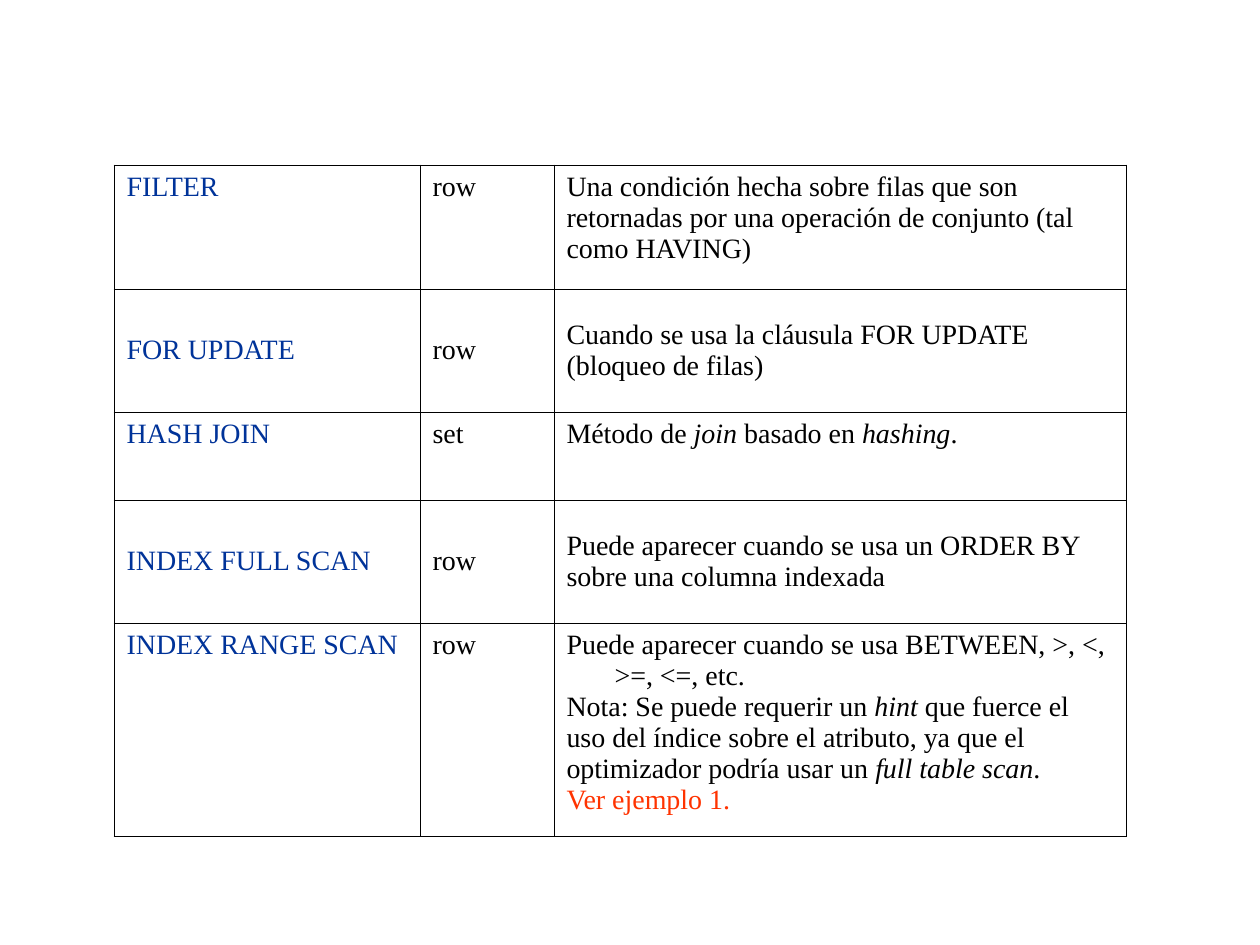
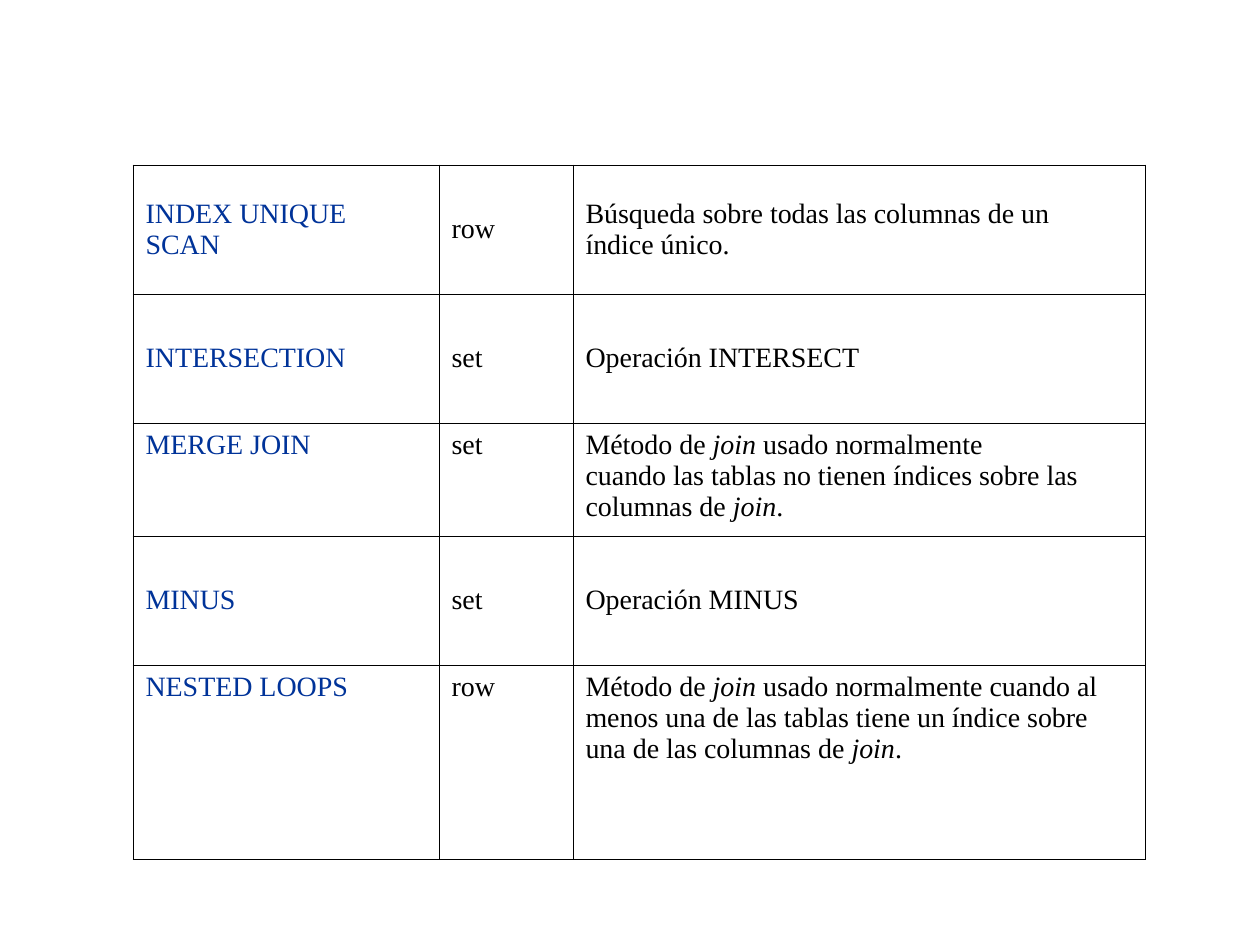
from dataclasses import dataclass

from lxml.etree import SubElement
from pptx import Presentation
from pptx.dml.color import RGBColor
from pptx.enum.text import MSO_ANCHOR
from pptx.oxml.ns import qn
from pptx.util import Emu, Pt


@dataclass(frozen=True)
class Theme:
    """Colours, type and cell measures shared by the slides."""
    name: str = "003399"
    body: str = "000000"
    note: str = "FF3300"
    border: str = "000000"
    font: str = "Times New Roman"
    size: int = 16
    border_width: float = 0.45
    indent: int = 48


THEME = Theme()
TOP, MIDDLE = MSO_ANCHOR.TOP, MSO_ANCHOR.MIDDLE
COLUMNS = (306, 134, 572)


def px(pixels):
    """Turn pixels (126 to the inch) into EMU."""
    return Emu(round(pixels * 914400 / 126))


def add_text(para, text, color=THEME.body, size=THEME.size, font=THEME.font):
    """Fill a paragraph; words between asterisks are italic."""
    for index, part in enumerate(text.split("*")):
        if part:
            span = para.add_run()
            span.text = part
            span.font.name = font
            span.font.size = Pt(size)
            span.font.italic = index % 2 == 1
            span.font.color.rgb = RGBColor.from_string(color)


def hang(para):
    """Give a paragraph its hanging indent."""
    properties = para._p.get_or_add_pPr()
    properties.set("marL", str(px(THEME.indent)))
    properties.set("indent", str(-px(THEME.indent)))


def add_borders(cell):
    """Draw a thin line on the four sides of a cell."""
    properties = cell._tc.get_or_add_tcPr()
    for side in ("lnL", "lnR", "lnT", "lnB"):
        line = SubElement(properties, qn(f"a:{side}"), w=str(Pt(THEME.border_width)))
        fill = SubElement(line, qn("a:solidFill"))
        SubElement(fill, qn("a:srgbClr"), val=THEME.border)


def fill_cell(cell, lines, anchor, color):
    """Write lines, each a text or a (text, colour) pair, into a cell."""
    add_borders(cell)
    cell.fill.background()
    cell.vertical_anchor = anchor
    cell.margin_left = cell.margin_right = Pt(7.2)
    cell.margin_top = cell.margin_bottom = Pt(3.6)
    frame = cell.text_frame
    for index, line in enumerate(lines):
        text, line_color = (line, color) if isinstance(line, str) else line
        para = frame.paragraphs[0] if index == 0 else frame.add_paragraph()
        hang(para)
        add_text(para, text, color=line_color)


def add_operations(page, left, top, operations):
    """Place a table of operations: name, row or set, description."""
    height = sum(operation[0] for operation in operations)
    table = page.shapes.add_table(
        len(operations), len(COLUMNS),
        px(left), px(top), px(sum(COLUMNS)), px(height)).table
    table.first_row = table.horz_banding = False
    for column, width in zip(table.columns, COLUMNS):
        column.width = px(width)
    for row, (row_height, anchor, name, kind, description) in zip(table.rows, operations):
        row.height = px(row_height)
        contents = ((name, THEME.name), ([kind], THEME.body), (description, THEME.body))
        for cell, (lines, color) in zip(row.cells, contents):
            fill_cell(cell, lines, anchor, color)


FILTER_TO_RANGE = [
    (124, TOP, ["FILTER"], "row",
     ["Una condición hecha sobre filas que son",
      "retornadas por una operación de conjunto (tal",
      "como HAVING)"]),
    (123, MIDDLE, ["FOR UPDATE"], "row",
     ["Cuando se usa la cláusula FOR UPDATE", "(bloqueo de filas)"]),
    (88, TOP, ["HASH JOIN"], "set", ["Método de *join* basado en *hashing*."]),
    (123, MIDDLE, ["INDEX FULL SCAN"], "row",
     ["Puede aparecer cuando se usa un ORDER BY", "sobre una columna indexada"]),
    (214, TOP, ["INDEX RANGE SCAN"], "row",
     ["Puede aparecer cuando se usa BETWEEN, >, <, >=, <=, etc.",
      "Nota: Se puede requerir un *hint* que fuerce el",
      "uso del índice sobre el atributo, ya que el",
      "optimizador podría usar un *full table scan*.",
      ("Ver ejemplo 1.", THEME.note)]),
]

UNIQUE_TO_LOOPS = [
    (129, MIDDLE, ["INDEX UNIQUE", "SCAN"], "row",
     ["Búsqueda sobre todas las columnas de un", "índice único."]),
    (129, MIDDLE, ["INTERSECTION"], "set", ["Operación INTERSECT"]),
    (113, TOP, ["MERGE JOIN"], "set",
     ["Método de *join* usado normalmente",
      "cuando las tablas no tienen índices sobre las",
      "columnas de *join*."]),
    (129, MIDDLE, ["MINUS"], "set", ["Operación MINUS"]),
    (195, TOP, ["NESTED LOOPS"], "row",
     ["Método de *join* usado normalmente cuando al",
      "menos una de las tablas tiene un índice sobre",
      "una de las columnas de *join*."]),
]

deck = Presentation()
deck.slide_width, deck.slide_height = px(1260), px(945)
for left, operations in ((114, FILTER_TO_RANGE), (133, UNIQUE_TO_LOOPS)):
    page = deck.slides.add_slide(deck.slide_layouts[6])
    add_operations(page, left, 165, operations)
deck.save("out.pptx")
